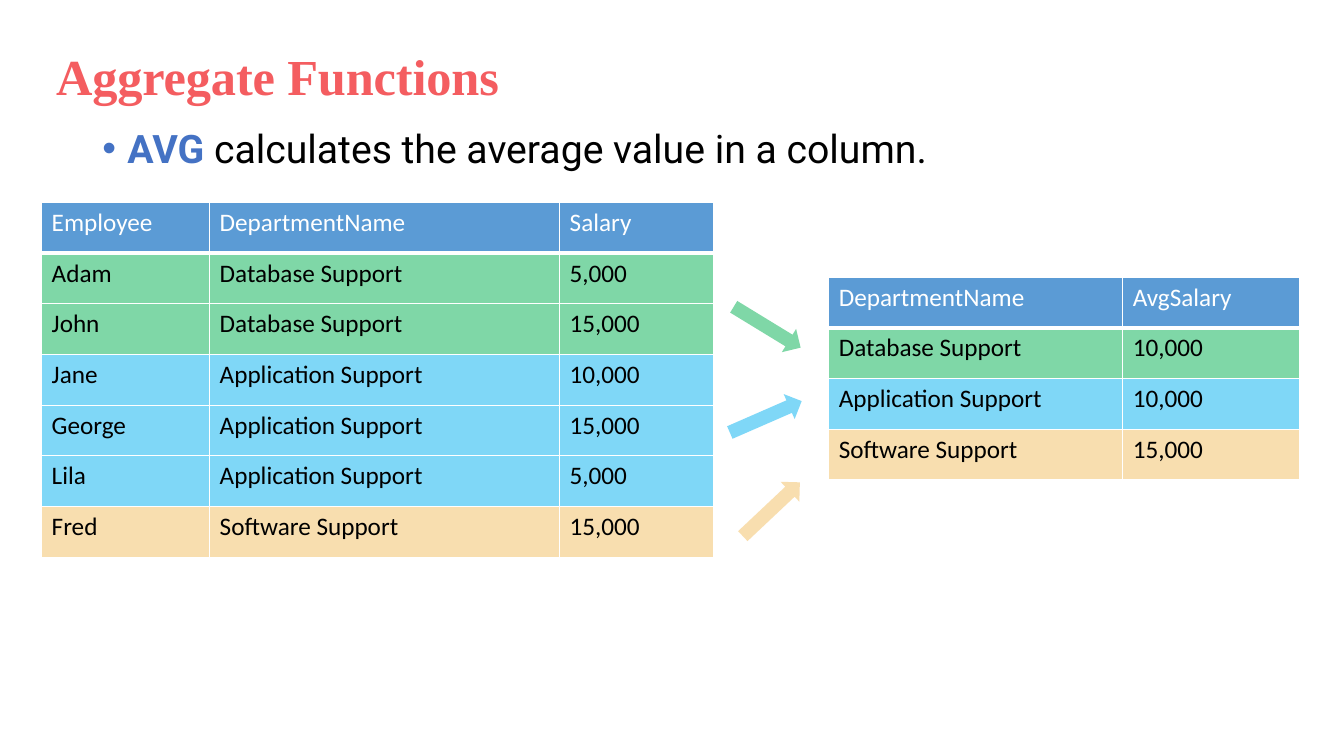
import pptx
import pptx.util
import pptx.dml.color
import pptx.enum.shapes
import pptx.oxml
import pptx.oxml.ns

Pt = pptx.util.Pt
RGB = pptx.dml.color.RGBColor
WHITE = RGB(0xFF, 0xFF, 0xFF)
BLACK = RGB(0, 0, 0)
CORAL = RGB(0xF4, 0x5D, 0x60)
ROYAL = RGB(0x44, 0x72, 0xC4)
HEAD = RGB(0x5B, 0x9B, 0xD5)
GREEN = RGB(0x00, 0xB0, 0x50)
BLUE = RGB(0x00, 0xB0, 0xF0)
SAND = RGB(0xF3, 0xBE, 0x60)

TINTS = {
    "Database Support": GREEN,
    "Application Support": BLUE,
    "Software Support": SAND,
}
STAFF = [
    ("Employee", "DepartmentName", "Salary"),
    ("Adam", "Database Support", "5,000"),
    ("John", "Database Support", "15,000"),
    ("Jane", "Application Support", "10,000"),
    ("George", "Application Support", "15,000"),
    ("Lila", "Application Support", "5,000"),
    ("Fred", "Software Support", "15,000"),
]
MEANS = [
    ("DepartmentName", "AvgSalary"),
    ("Database Support", "10,000"),
    ("Application Support", "10,000"),
    ("Software Support", "15,000"),
]
ROW = 36.25


def add_xml(parent, tag, body="", **attrs):
    text = " ".join(f'{key}="{val}"' for key, val in attrs.items())
    space = pptx.oxml.ns.nsdecls("a")
    node = pptx.oxml.parse_xml(f"<a:{tag} {space} {text}>{body}</a:{tag}>")
    parent.append(node)


def tint(fill, props, color):
    fill.solid()
    fill.fore_color.rgb = color
    add_xml(props.find(pptx.oxml.ns.qn("a:solidFill"))[0], "alpha", val=50000)


def add_text(slide, left, top, width, height):
    box = slide.shapes.add_textbox(Pt(left), Pt(top), Pt(width), Pt(height))
    box.text_frame.word_wrap = True
    return box.text_frame.paragraphs[0]


def add_title(slide, text):
    para = add_text(slide, 33, 29, 680, 51)
    para.text = text
    para.font.name = "Times New Roman"
    para.font.size = Pt(36)
    para.font.bold = True
    para.font.color.rgb = CORAL
    para.runs[0]._r.get_or_add_rPr().set("spc", "-10")


def add_point(slide, term, rest):
    para = add_text(slide, 66, 85, 828, 343)
    para.space_before = Pt(10)
    props = para._p.get_or_add_pPr()
    props.set("marL", str(int(Pt(18))))
    props.set("indent", str(int(Pt(-18))))
    add_xml(props, "buFont", typeface="Arial")
    add_xml(props, "buChar", char="•")
    para.font.name = "Roboto"
    para.font.size = Pt(28)
    for text, color, bold in ((term, ROYAL, True), (rest, BLACK, False)):
        run = para.add_run()
        run.text = text
        run.font.bold = bold
        run.font.color.rgb = color


def style_cell(cell, text, color):
    props = cell._tc.get_or_add_tcPr()
    line = f'<a:solidFill><a:srgbClr val="{WHITE}"/></a:solidFill>'
    for side in "LRTB":
        thick = 3 if color is None and side == "B" else 1
        add_xml(props, "ln" + side, line, w=int(Pt(thick)))
    if color is None:
        cell.fill.solid()
        cell.fill.fore_color.rgb = HEAD
    else:
        tint(cell.fill, props, color)
    cell.text = text
    font = cell.text_frame.paragraphs[0].font
    font.name = "Calibri"
    font.size = Pt(18)
    font.bold = False
    font.color.rgb = WHITE if color is None else BLACK


def add_grid(slide, left, top, widths, rows):
    frame = slide.shapes.add_table(
        len(rows), len(widths), Pt(left), Pt(top), Pt(sum(widths)), Pt(ROW * len(rows)))
    table = frame.table
    for col, width in zip(table.columns, widths):
        col.width = Pt(width)
    for line, values in zip(table.rows, rows):
        line.height = Pt(ROW)
        color = next((TINTS[val] for val in values if val in TINTS), None)
        for cell, text in zip(line.cells, values):
            style_cell(cell, text, color)


def add_arrow(slide, left, top, angle, color):
    kind = pptx.enum.shapes.MSO_SHAPE.RIGHT_ARROW
    arrow = slide.shapes.add_shape(kind, Pt(left), Pt(top), Pt(56), Pt(19.5))
    arrow.rotation = angle
    arrow.shadow.inherit = False
    arrow.line.fill.background()
    tint(arrow.fill, arrow._element.spPr, color)


def main():
    deck = pptx.Presentation()
    deck.slide_width = Pt(960)
    deck.slide_height = Pt(540)
    slide = deck.slides.add_slide(deck.slide_layouts[6])
    add_point(slide, "AVG", " calculates the average value in a column.")
    add_grid(slide, 29.75, 144.5, (120, 250, 110), STAFF)
    add_grid(slide, 592, 198, (210, 126), MEANS)
    add_arrow(slide, 520, 224, 31.4, GREEN)
    add_arrow(slide, 519, 288, 336.4, BLUE)
    add_arrow(slide, 523, 354, 316.7, SAND)
    add_title(slide, "Aggregate Functions")
    deck.save("out.pptx")


if __name__ == "__main__":
    main()
